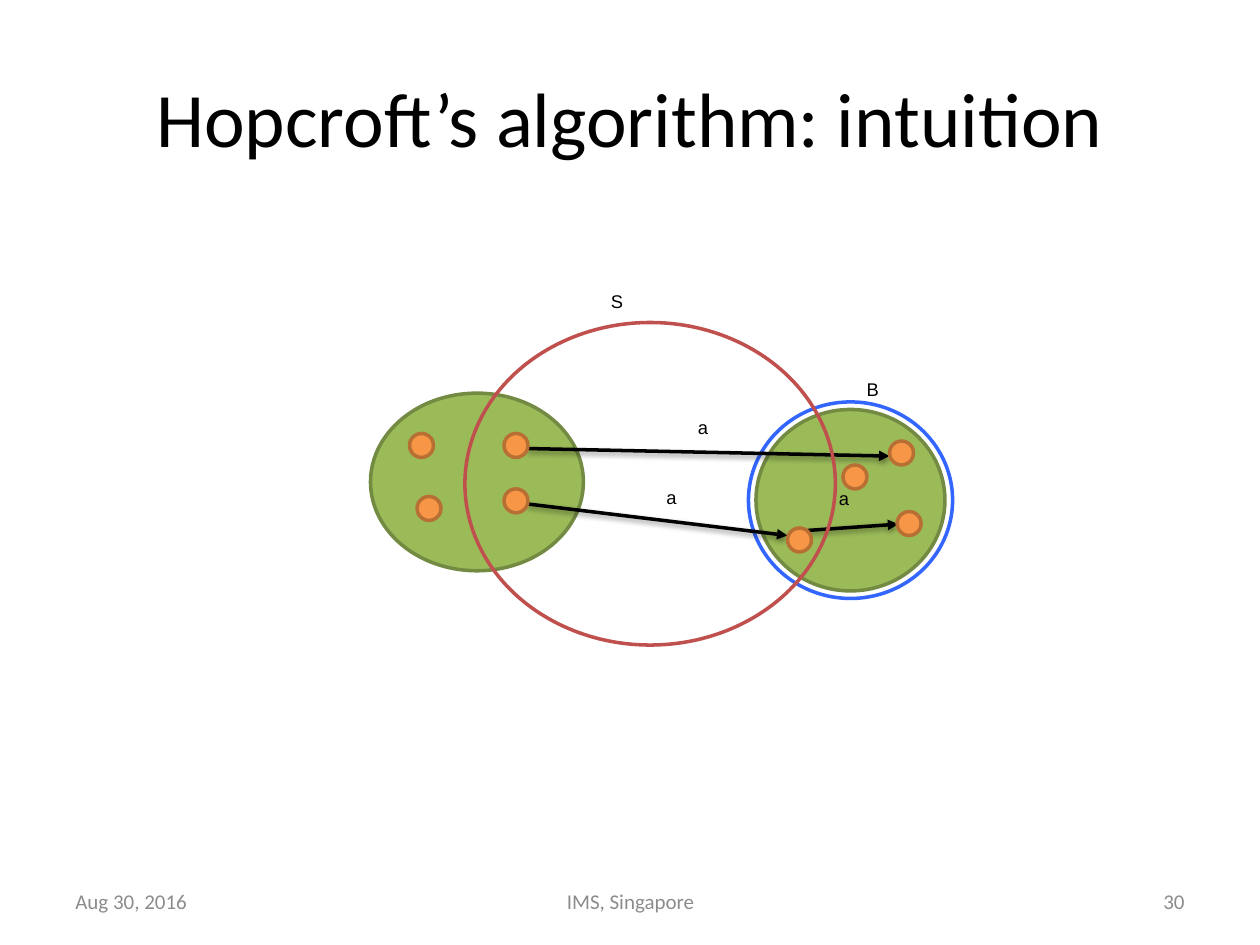
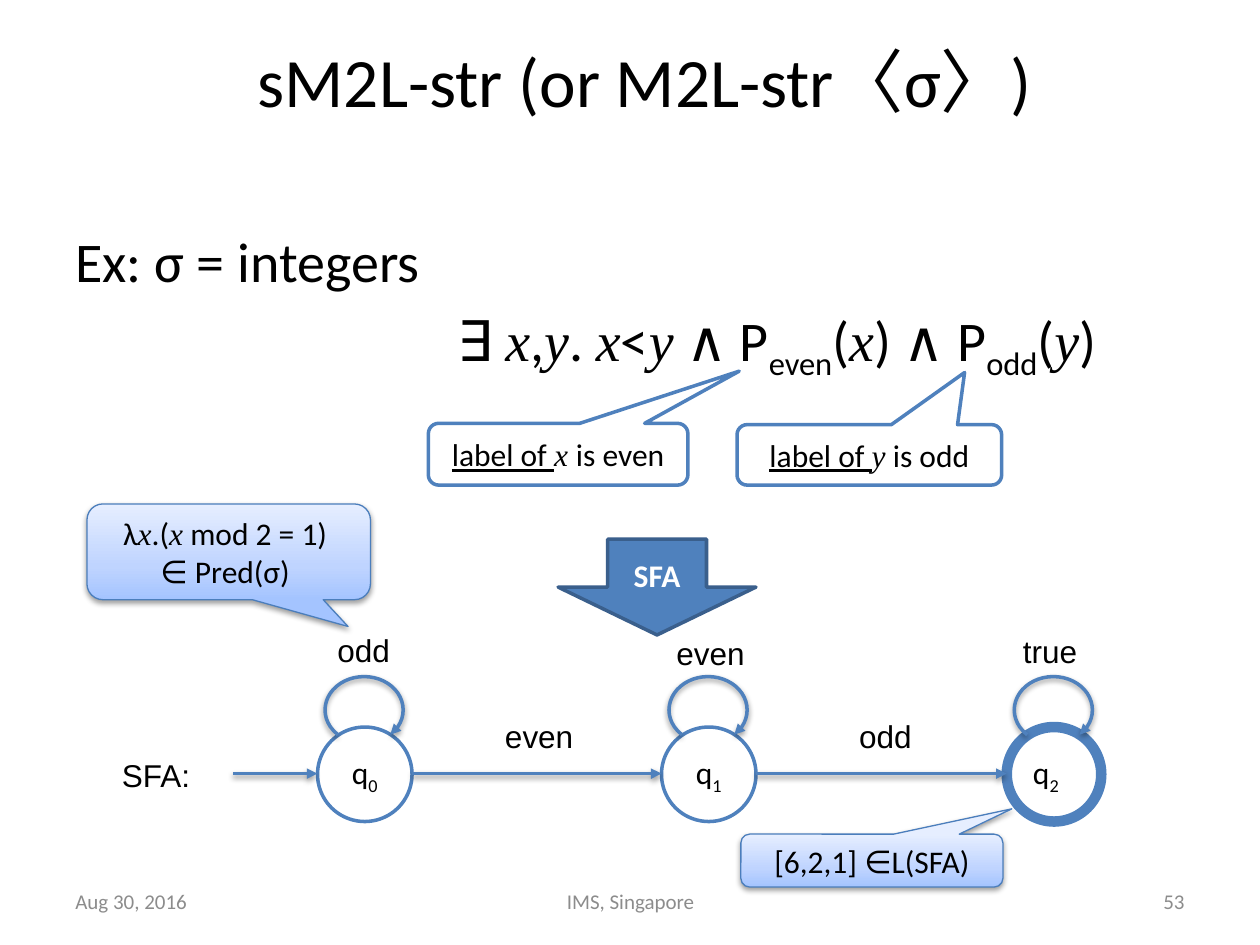
"""Build two automata slides: partition refinement and a symbolic automaton."""
from dataclasses import dataclass

import pptx
import pptx.dml.color
import pptx.enum.shapes
import pptx.enum.text
import pptx.oxml
import pptx.oxml.ns
import pptx.util
from lxml import etree

Inches = pptx.util.Inches
Pt = pptx.util.Pt
Shape = pptx.enum.shapes.MSO_SHAPE
Align = pptx.enum.text.PP_ALIGN
Anchor = pptx.enum.text.MSO_ANCHOR
qn = pptx.oxml.ns.qn

COLOURS = {
    "text": "000000", "muted": "8C8C8C", "white": "FFFFFF",
    "green": "9BBB59", "green_edge": "738A42", "orange": "F79646", "orange_edge": "B76F34",
    "red": "C0504D", "ring": "3366FF", "blue": "4F81BD", "blue_edge": "3A5F8C",
    "note_edge": "4B7EBC", "note_low": "A4C4FF", "note_mid": "BFD4FF", "note_high": "E6EEFF",
}
NOTE_STOPS = ((0, "note_low"), (35, "note_mid"), (100, "note_high"))
BODY_FONT, LABEL_FONT, MATH_FONT = "Calibri", "Arial", "Times New Roman"
DOT_SIZE = 0.19
STATE_TOP, STATE_SIZE, ARROW_Y = 5.77, 0.75, 6.14


@dataclass
class Span:
    text: str
    font: str = BODY_FONT
    italic: bool = False
    underline: bool = False
    bold: bool = False
    subscript: bool = False


@dataclass
class Place:
    left: float
    top: float
    width: float
    height: float

    def lengths(self) -> tuple:
        return tuple(Inches(n) for n in (self.left, self.top, self.width, self.height))


@dataclass
class Look:
    fill: str | None
    line: str
    weight: float = 2
    shadow: bool = False


@dataclass
class Label:
    text: str
    left: float
    top: float


@dataclass
class Arrow:
    start: tuple[float, float]
    end: tuple[float, float]


@dataclass
class Callout:
    place: Place
    tip: tuple[float, float]
    look: Look
    spans: list[Span]


@dataclass
class State:
    index: str
    left: float
    loop: Label
    weight: float = 2
    align: Align = Align.CENTER


GREEN = Look("green", "green_edge")
DOT = Look("orange", "orange_edge")
OUTLINE = Look("white", "blue")
NOTE = Look("gradient", "note_edge", 0.75, True)

REGIONS = [
    (Place(5.94, 3.19, 1.62, 1.56), Look("white", "ring")),
    (Place(6, 3.25, 1.5, 1.44), GREEN),
    (Place(2.94, 3.12, 1.69, 1.41), GREEN),
]
SPLITTER = Place(3.69, 2.56, 2.94, 2.56)
DOTS = [(4, 3.44), (4, 3.88), (6.25, 4.19), (7.12, 4.06),
        (7.06, 3.5), (6.69, 3.69), (3.25, 3.44), (3.31, 3.94)]
DOT_ARROWS = [Arrow((4.19, 3.56), (7.06, 3.62)), Arrow((6.41, 4.21), (7.13, 4.16)),
              Arrow((4.19, 4), (6.25, 4.25))]
SET_LABELS = [Label("a", 6.56, 3.82), Label("a", 5.44, 3.25), Label("a", 5.19, 3.81),
              Label("B", 6.78, 2.95), Label("S", 4.75, 2.25)]

STATES = [
    State("0", 2.52, Label("odd", 2.58, 4.96)),
    State("1", 5.25, Label("even", 5.27, 4.98)),
    State("2", 7.99, Label("true", 8.02, 4.97), 6, Align.LEFT),
]
EDGE_LABELS = [Label("even", 3.91, 5.64), Label("odd", 6.72, 5.64), Label("SFA:", 0.87, 5.95)]


def var(name: str) -> Span:
    """Return a span for an italic variable."""
    return Span(name, MATH_FONT, italic=True)


def sub(text: str) -> Span:
    """Return a subscript span."""
    return Span(text, subscript=True)


FORMULA = [Span("∃ "), var("x"), Span(","), var("y"), Span(". "), var("x"), Span("<"), var("y"),
           Span(" ∧ P"), sub("even"), Span("("), var("x"), Span(") ∧ P"), sub("odd"),
           Span("("), var("y"), Span(")")]
CALLOUTS = [
    Callout(Place(3.4, 3.36, 2.06, 0.49), (0.698, -1.345), OUTLINE,
            [Span("label of ", underline=True), var("x "), Span("is even")]),
    Callout(Place(5.85, 3.37, 2.1, 0.48), (0.36, -1.363), OUTLINE,
            [Span("label of ", underline=True), var("y"), Span(" is odd")]),
    Callout(Place(0.69, 4, 2.25, 0.76), (0.421, 0.78), NOTE,
            [Span("λ"), var("x"), Span(".("), var("x"), Span(" mod 2 = 1) "),
             Span("\n"), Span("∈ Pred(σ) ")]),
    Callout(Place(5.88, 6.62, 2.08, 0.42), (0.534, -0.978), NOTE, [Span("[6,2,1] ∈L(SFA)")]),
]


def colour(name: str) -> pptx.dml.color.RGBColor:
    """Look up a named colour."""
    return pptx.dml.color.RGBColor.from_string(COLOURS[name])


def write(para, spans: list[Span], size: float, ink: str = "text", align: Align = Align.LEFT) -> None:
    """Add spans to a paragraph run by run."""
    para.alignment = align
    for span in spans:
        if span.text == "\n":
            para.add_line_break()
            continue
        run = para.add_run()
        run.text = span.text
        font = run.font
        font.name, font.size, font.color.rgb = span.font, Pt(size), colour(ink)
        font.bold, font.italic, font.underline = span.bold, span.italic, span.underline
        if span.subscript:
            run._r.get_or_add_rPr().set("baseline", "-25000")


def add_text(page, place: Place, spans: list[Span], size: float, ink: str = "text",
             align: Align = Align.LEFT, anchor: Anchor = Anchor.TOP):
    """Add a wrapping text box and return its frame."""
    frame = page.shapes.add_textbox(*place.lengths()).text_frame
    frame.word_wrap = True
    frame.vertical_anchor = anchor
    write(frame.paragraphs[0], spans, size, ink, align)
    return frame


def add_label(page, label: Label, size: float) -> None:
    """Add a short diagram label."""
    add_text(page, Place(label.left, label.top, 1, 0.4), [Span(label.text, LABEL_FONT)], size)


def cast_shadow(properties) -> None:
    """Give a shape or connector a soft shadow below it."""
    effects = properties.find(qn("a:effectLst"))
    if effects is None:
        effects = etree.SubElement(properties, qn("a:effectLst"))
    shadow = etree.SubElement(effects, qn("a:outerShdw"), blurRad="40000", dist="20000",
                              dir="5400000", rotWithShape="0")
    ink = etree.SubElement(shadow, qn("a:srgbClr"), val=COLOURS["text"])
    etree.SubElement(ink, qn("a:alpha"), val="38000")


def set_line(line, ink: str, weight: float, arrow: bool = False) -> None:
    """Format a line, with an arrowhead at its end if asked."""
    line.color.rgb = colour(ink)
    line.width = Pt(weight)
    if arrow:
        etree.SubElement(line._get_or_add_ln(), qn("a:tailEnd"), type="triangle")


def fill_gradient(shape) -> None:
    """Fill a shape with the vertical note gradient."""
    stops = "".join(f'<a:gs pos="{at * 1000}"><a:srgbClr val="{COLOURS[name]}"/></a:gs>'
                    for at, name in NOTE_STOPS)
    gradient = pptx.oxml.parse_xml(
        f'<a:gradFill {pptx.oxml.ns.nsdecls("a")} rotWithShape="1"><a:gsLst>{stops}</a:gsLst>'
        '<a:lin ang="16200000" scaled="0"/></a:gradFill>')
    shape._element.spPr.find(qn("a:prstGeom")).addnext(gradient)


def add_figure(page, kind: Shape, place: Place, look: Look, arrow: bool = False):
    """Add a preset shape with the given look."""
    shape = page.shapes.add_shape(kind, *place.lengths())
    if look.fill == "gradient":
        fill_gradient(shape)
    elif look.fill:
        shape.fill.solid()
        shape.fill.fore_color.rgb = colour(look.fill)
    else:
        shape.fill.background()
    set_line(shape.line, look.line, look.weight, arrow)
    shape.shadow.inherit = False
    if look.shadow:
        cast_shadow(shape._element.spPr)
    return shape


def add_arrow(page, arrow: Arrow, ink: str) -> None:
    """Add a straight shadowed arrow."""
    ends = (Inches(n) for n in (*arrow.start, *arrow.end))
    connector = page.shapes.add_connector(pptx.enum.shapes.MSO_CONNECTOR.STRAIGHT, *ends)
    set_line(connector.line, ink, 2, True)
    cast_shadow(connector._element.spPr)


def add_page(deck, title: str, place: Place, size: float, anchor: Anchor, number: str):
    """Add a slide with its title and footer."""
    page = deck.slides.add_slide(deck.slide_layouts[5])
    box = page.shapes.title
    box.left, box.top, box.width, box.height = place.lengths()
    box.text_frame.auto_size = pptx.enum.text.MSO_AUTO_SIZE.NONE
    box.text_frame.vertical_anchor = anchor
    write(box.text_frame.paragraphs[0], [Span(title)], size, align=Align.CENTER)
    for text, left, width, align in (("Aug 30, 2016", 0.5, 2.33, Align.LEFT),
                                     ("IMS, Singapore", 3.42, 3.17, Align.CENTER),
                                     (number, 7.17, 2.33, Align.RIGHT)):
        add_text(page, Place(left, 6.95, width, 0.4), [Span(text)], 12, "muted", align, Anchor.MIDDLE)
    return page


def build_intuition(deck) -> None:
    """Build the slide on splitting blocks."""
    page = add_page(deck, "Hopcroft’s algorithm: intuition", Place(0.5, 0.3, 9, 1.25), 44,
                    Anchor.MIDDLE, "30")
    for place, look in REGIONS:
        add_figure(page, Shape.OVAL, place, look)
    for arrow in DOT_ARROWS:
        add_arrow(page, arrow, "text")
    add_figure(page, Shape.OVAL, SPLITTER, Look(None, "red"))
    for label in SET_LABELS:
        add_label(page, label, 10.5)
    for left, top in DOTS:
        add_figure(page, Shape.OVAL, Place(left, top, DOT_SIZE, DOT_SIZE), DOT)


def build_automaton(deck) -> None:
    """Build the slide on the formula and its automaton."""
    page = add_page(deck, "sM2L-str (or M2L-str〈σ〉)", Place(0.5, 0.25, 9.23, 1.45), 39.6,
                    Anchor.TOP, "53")
    frame = add_text(page, Place(0.5, 1.75, 9, 1.5), [Span("Ex: σ = integers")], 32)
    formula = frame.add_paragraph()
    formula._p.get_or_add_pPr().set("marL", str(Inches(3.03)))
    formula.space_before = Pt(6.4)
    write(formula, FORMULA, 32)

    tail = 1.85
    for state in STATES:
        circle = add_figure(page, Shape.OVAL, Place(state.left, STATE_TOP, STATE_SIZE, STATE_SIZE),
                            Look("white", "blue", state.weight))
        write(circle.text_frame.paragraphs[0], [Span("q"), sub(state.index)], 18, align=state.align)
        add_arrow(page, Arrow((tail, ARROW_Y), (state.left, ARROW_Y)), "blue")
        tail = state.left + STATE_SIZE
        loop = add_figure(page, Shape.ARC, Place(state.left + 0.06, 5.37, 0.62, 0.53),
                          Look(None, "blue", shadow=True), arrow=True)
        loop.adjustments[0], loop.adjustments[1] = 81.888, 26.043
        add_label(page, state.loop, 18)
    for label in EDGE_LABELS:
        add_label(page, label, 18)

    step = add_figure(page, Shape.DOWN_ARROW, Place(4.43, 4.28, 1.57, 0.76), Look("blue", "blue_edge"))
    write(step.text_frame.paragraphs[0], [Span("SFA", bold=True)], 18, "white", Align.CENTER)
    for callout in CALLOUTS:
        shape = add_figure(page, Shape.ROUNDED_RECTANGULAR_CALLOUT, callout.place, callout.look)
        shape.adjustments[0], shape.adjustments[1] = callout.tip
        write(shape.text_frame.paragraphs[0], callout.spans, 18, align=Align.CENTER)


def main() -> None:
    """Build and save the deck."""
    deck = pptx.Presentation()
    deck.slide_width, deck.slide_height = Inches(10), Inches(7.5)
    build_intuition(deck)
    build_automaton(deck)
    deck.save("out.pptx")


if __name__ == "__main__":
    main()
